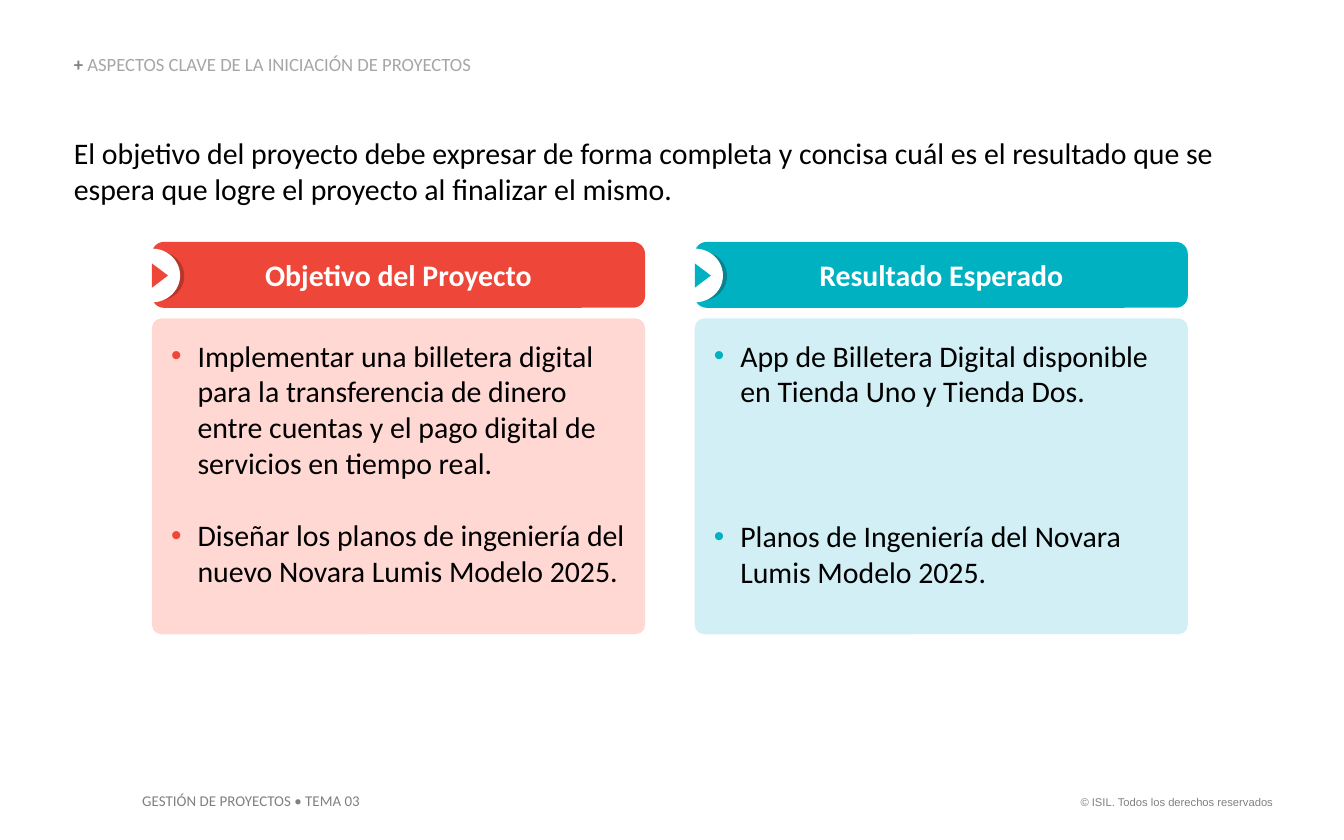
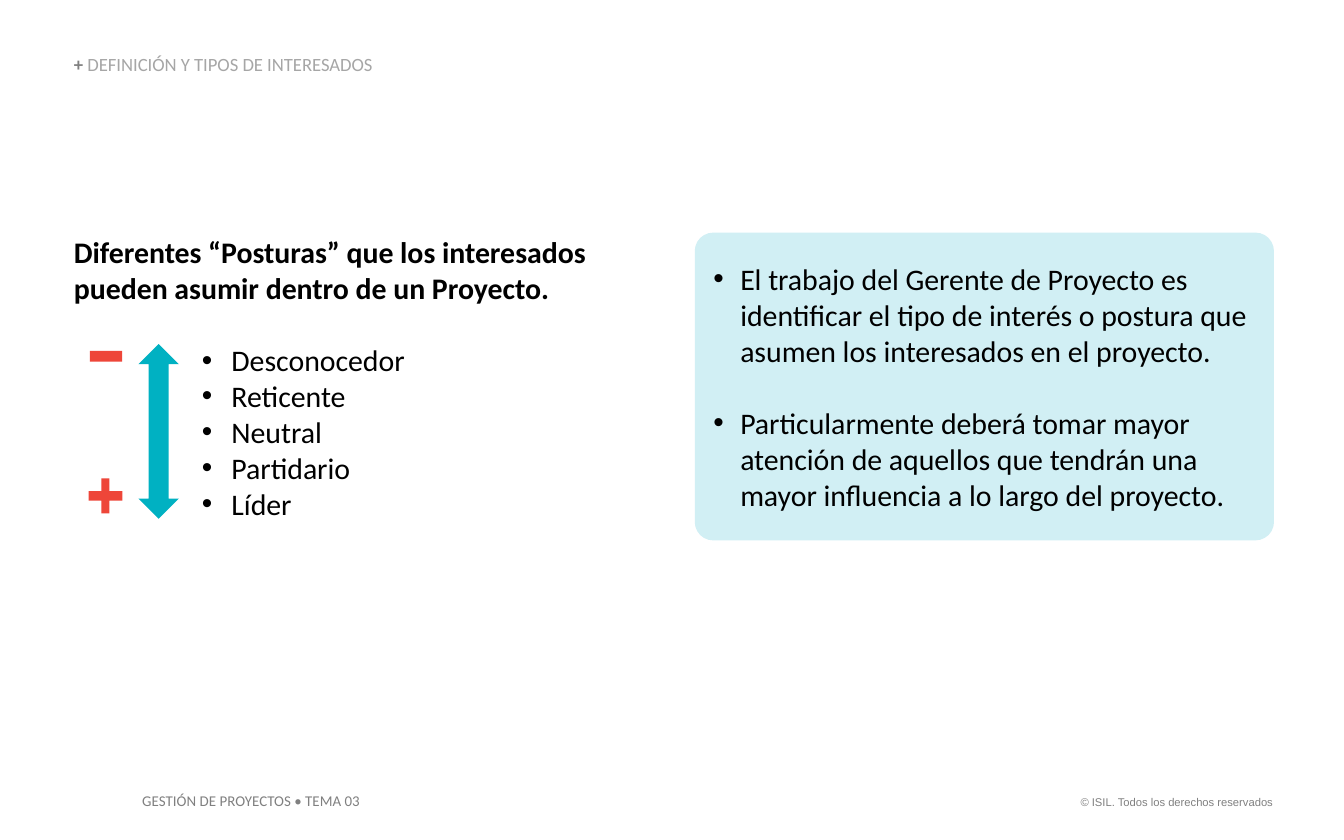
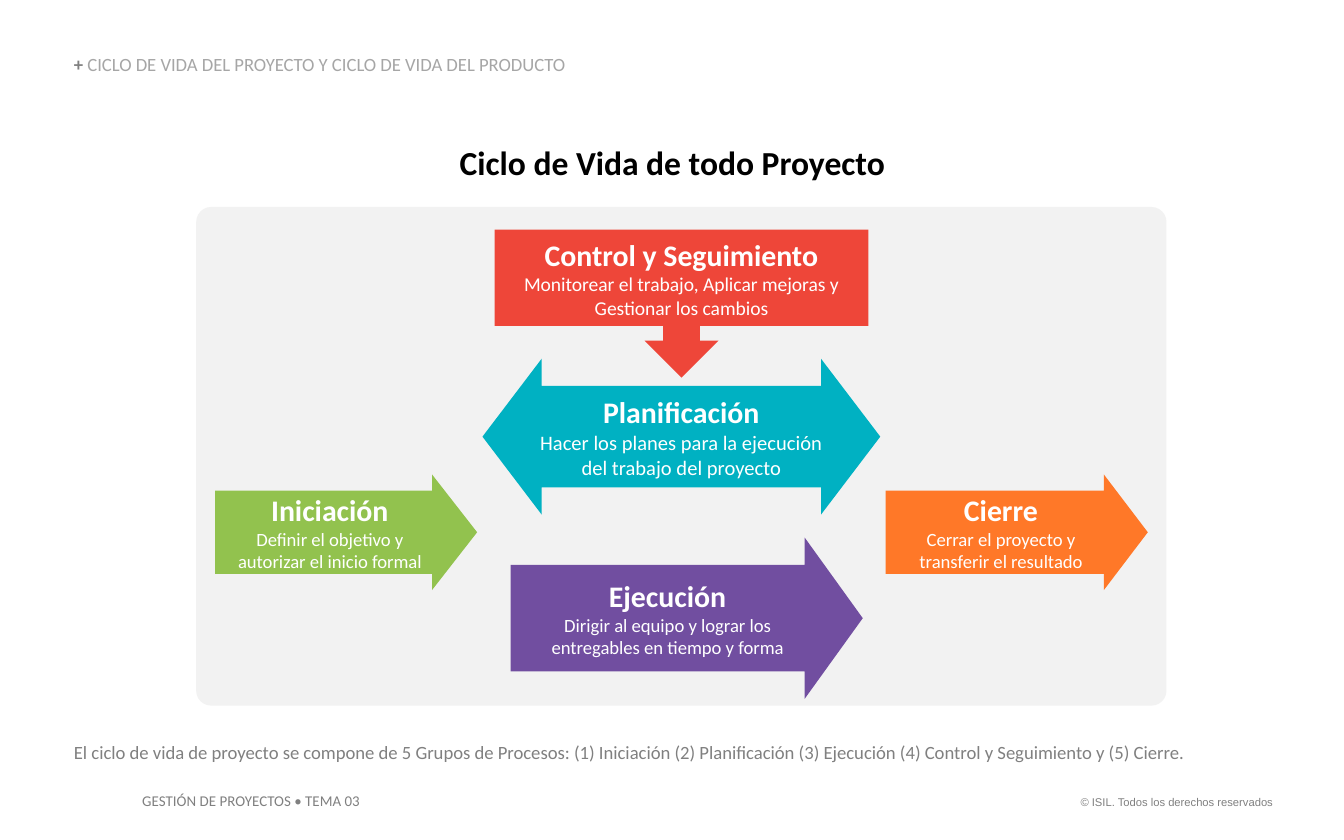
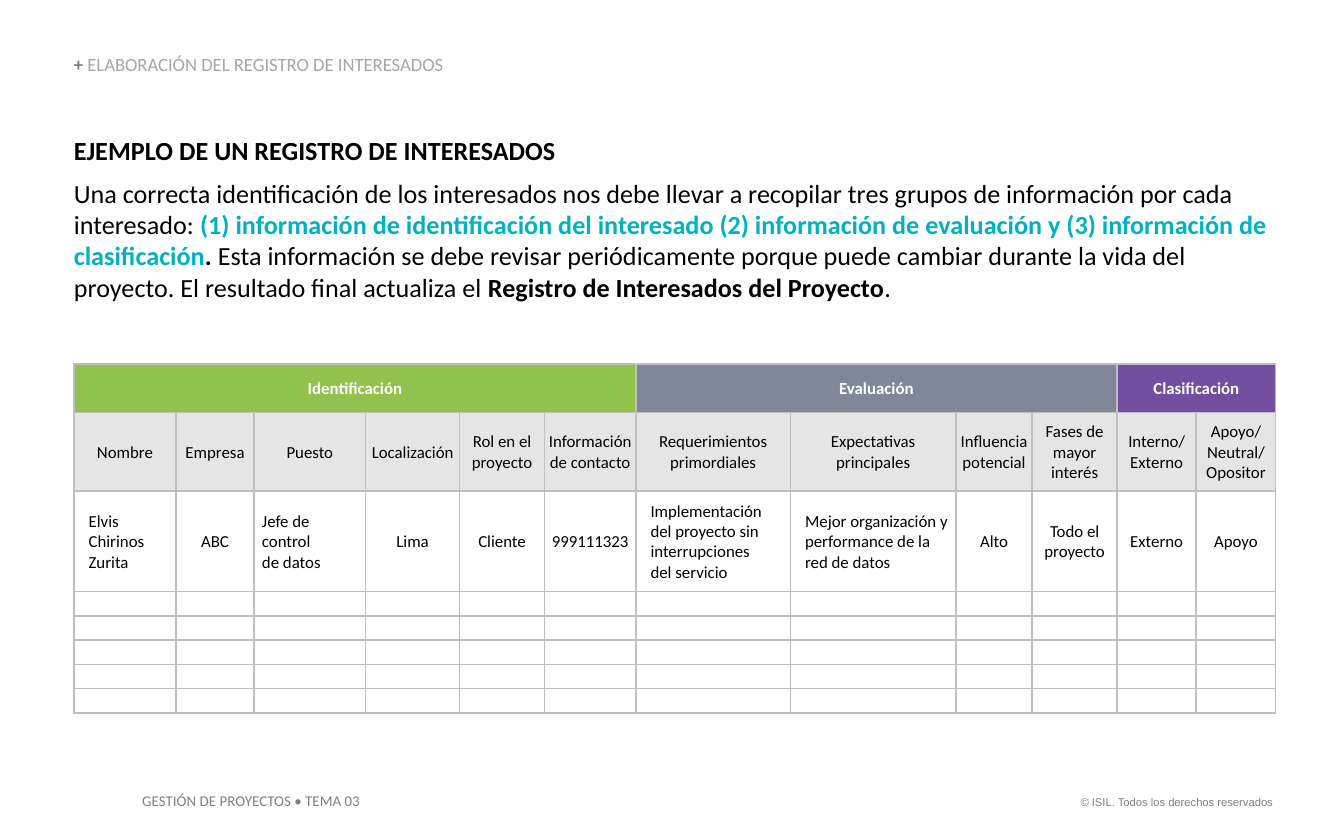
from dataclasses import dataclass

from lxml.etree import SubElement
from pptx import Presentation
from pptx.dml.color import RGBColor
from pptx.enum.shapes import MSO_SHAPE
from pptx.enum.text import MSO_ANCHOR, PP_ALIGN
from pptx.oxml.ns import qn
from pptx.util import Pt


@dataclass(frozen=True)
class Theme:
    ink: str = "000000"
    white: str = "FFFFFF"
    gray: str = "808080"
    light_gray: str = "A6A6A6"
    panel: str = "F2F2F2"
    red: str = "EE4639"
    dark_red: str = "B7362B"
    pale_red: str = "FFD8D4"
    teal: str = "00B1C2"
    dark_teal: str = "0B828E"
    pale_teal: str = "D1EFF4"
    purple: str = "714EA0"
    orange: str = "FF7828"
    green: str = "92C24E"
    slate: str = "808799"
    header: str = "E5E5E5"
    border: str = "BFBFBF"
    font: str = "Calibri"
    copyright_font: str = "Arial"
    heading: float = 18
    body: float = 16
    lead: float = 14
    small: float = 10
    table: float = 9
    footer: float = 8
    copyright: float = 6
    line: float = 19.5


theme = Theme()
LEFT = 39.6
RIGHT_COLUMN = 372.2
NO_MARGINS = (0, 0, 0, 0)


def draw(shapes, kind, box, color=None, adjustments=(), rotation=0):
    lengths = [Pt(value) for value in box]
    if kind is None:
        return shapes.add_textbox(*lengths)
    shape = shapes.add_shape(kind, *lengths)
    shape.shadow.inherit = False
    shape.fill.solid()
    shape.fill.fore_color.rgb = RGBColor.from_string(color)
    shape.line.fill.background()
    shape.rotation = rotation
    for index, value in enumerate(adjustments):
        shape.adjustments[index] = value
    return shape


def write(shape, paragraphs, margins=(7.2, 3.6, 7.2, 3.6), font=theme.font, **frame_format):
    frame = shape.text_frame
    sides = ("margin_left", "margin_top", "margin_right", "margin_bottom")
    values = {"word_wrap": True, **dict(zip(sides, map(Pt, margins))), **frame_format}
    for name, value in values.items():
        setattr(frame, name, value)
    for index, (runs, paragraph_format) in enumerate(paragraphs):
        paragraph = frame.add_paragraph() if index else frame.paragraphs[0]
        values = {"alignment": PP_ALIGN.LEFT, **paragraph_format}
        bullet = values.pop("bullet", None)
        if bullet:
            color, left, hanging = bullet
            properties = paragraph._p.get_or_add_pPr()
            properties.set("marL", str(Pt(left)))
            properties.set("indent", str(Pt(-hanging)))
            bullet_color = SubElement(properties, qn("a:buClr"))
            SubElement(bullet_color, qn("a:srgbClr"), val=color)
            SubElement(properties, qn("a:buFont"), typeface="Arial")
            SubElement(properties, qn("a:buChar"), char="•")
        for name, value in values.items():
            setattr(paragraph, name, value)
        for text, size, color, bold in runs:
            run = paragraph.add_run()
            run.text = text
            for name, value in {"name": font, "size": Pt(size), "bold": bold}.items():
                setattr(run.font, name, value)
            run.font.color.rgb = RGBColor.from_string(color)


presentation = Presentation()
presentation.slide_width, presentation.slide_height = Pt(720), Pt(450)
blank_layout = presentation.slide_layouts[6]

section_titles = [
    "ASPECTOS CLAVE DE LA INICIACIÓN DE PROYECTOS",
    "DEFINICIÓN Y TIPOS DE INTERESADOS",
    "CICLO DE VIDA DEL PROYECTO Y CICLO DE VIDA DEL PRODUCTO",
    "ELABORACIÓN DEL REGISTRO DE INTERESADOS",
]
slides = []
for section_title in section_titles:
    slide = presentation.slides.add_slide(blank_layout)
    title = draw(slide.shapes, None, (LEFT, 29.5, 278, 10.8))
    write(title, [([("+ ", theme.small, theme.gray, True),
                    (section_title, theme.small, theme.light_gray, False)],
                   {"line_spacing": 0.9})],
          NO_MARGINS, vertical_anchor=MSO_ANCHOR.BOTTOM)
    slides.append(slide)
objective_slide, stance_slide, cycle_slide, register_slide = slides

footers = [
    ("© ISIL. Todos los derechos reservados", (569.5, 422.6, 119.5, 14.4),
     theme.copyright, theme.copyright_font, PP_ALIGN.RIGHT),
    ("GESTIÓN DE PROYECTOS • TEMA 03", (69.1, 420.5, 133.2, 17.3),
     theme.footer, theme.font, PP_ALIGN.LEFT),
]
for text, box, size, font, alignment in footers:
    footer = draw(objective_slide.shapes, None, box)
    write(footer, [([(text, size, theme.gray, False)], {"alignment": alignment})],
          font=font, word_wrap=False)
    blank_layout.shapes.element.append(footer.element)

shapes = objective_slide.shapes
introduction = draw(shapes, None, (LEFT, 72, 641.5, 38.9))
write(introduction, [([(
    "El objetivo del proyecto debe expresar de forma completa y concisa cuál es el resultado "
    "que se espera que logre el proyecto al finalizar el mismo.",
    theme.body, theme.ink, False)], {})], NO_MARGINS)

cards = [
    (RIGHT_COLUMN, "Resultado Esperado", theme.teal, theme.dark_teal, theme.pale_teal, 3,
     ["App de Billetera Digital disponible en Tienda Uno y Tienda Dos.",
      "Planos de Ingeniería del Novara Lumis Modelo 2025."]),
    (81.4, "Objetivo del Proyecto", theme.red, theme.dark_red, theme.pale_red, 1,
     ["Implementar una billetera digital para la transferencia de dinero entre cuentas "
      "y el pago digital de servicios en tiempo real.",
      "Diseñar los planos de ingeniería del nuevo Novara Lumis Modelo 2025."]),
]
for left, heading, color, dark, pale, gap_lines, items in cards:
    band = draw(shapes, MSO_SHAPE.ROUNDED_RECTANGLE, (left, 129.6, 264.2, 35.3), color, [0.18])
    write(band, [([(heading, theme.body, theme.white, True)], {"alignment": PP_ALIGN.CENTER})])
    card = draw(shapes, MSO_SHAPE.ROUNDED_RECTANGLE, (left, 170.6, 264.2, 169.2), pale, [0.03])
    write(card, [([(item, theme.body, theme.ink, False)],
                  {"bullet": (color, 14.4, 14.2),
                   "space_before": Pt(theme.line * gap_lines * index)})
                 for index, item in enumerate(items)],
          (8.6, 8.6, 8.6, 3.6), vertical_anchor=MSO_ANCHOR.TOP)
    icon = shapes.add_group_shape().shapes
    draw(icon, MSO_SHAPE.OVAL, (left - 10.8, 134.6, 28.1, 26.6), dark)
    draw(icon, MSO_SHAPE.OVAL, (left - 15.1, 133.2, 30.2, 28.8), theme.white)
    draw(icon, MSO_SHAPE.ISOSCELES_TRIANGLE, (left - 2.2, 143.3, 13, 8.6), color, rotation=90)

shapes = stance_slide.shapes
stances = draw(shapes, None, (LEFT, 125.3, 306, 154.8))
stance_names = ["Desconocedor", "Reticente", "Neutral", "Partidario", "Líder"]
write(stances, [([("Diferentes “Posturas” que los interesados pueden asumir dentro de un Proyecto.",
                   theme.body, theme.ink, True)], {})]
      + [([(name, theme.body, theme.ink, False)],
          {"bullet": (theme.ink, 84.4, 15.8), "space_before": Pt(0 if index else theme.line)})
         for index, name in enumerate(stance_names)], NO_MARGINS)
draw(shapes, MSO_SHAPE.LEFT_RIGHT_ARROW, (38.2, 220.3, 93.6, 21.6), theme.teal, rotation=270)
draw(shapes, MSO_SHAPE.RECTANGLE, (48.2, 187.9, 17.3, 5.8), theme.red)
draw(shapes, MSO_SHAPE.CROSS, (47.5, 256.3, 18, 18.7), theme.red, [0.38])
manager_role = draw(shapes, MSO_SHAPE.ROUNDED_RECTANGLE, (RIGHT_COLUMN, 124.6, 310.3, 164.9),
                    theme.pale_teal, [0.06])
manager_duties = [
    "El trabajo del Gerente de Proyecto es identificar el tipo de interés o postura "
    "que asumen los interesados en el proyecto.",
    "Particularmente deberá tomar mayor atención de aquellos que tendrán una mayor "
    "influencia a lo largo del proyecto.",
]
write(manager_role, [([(duty, theme.body, theme.ink, False)],
                      {"bullet": (theme.ink, 14.4, 14.4), "space_before": Pt(theme.line * index)})
                     for index, duty in enumerate(manager_duties)])

shapes = cycle_slide.shapes
diagram = shapes.add_group_shape().shapes
draw(diagram, MSO_SHAPE.ROUNDED_RECTANGLE, (105.1, 110.9, 519.8, 267.1), theme.panel, [0.03])
phases = [
    ("Control y Seguimiento",
     ["Monitorear el trabajo, Aplicar mejoras y", "Gestionar los cambios"], 10.5,
     MSO_SHAPE.DOWN_ARROW_CALLOUT, (265, 123.1, 200.2, 79.2), theme.red, []),
    ("Planificación", ["Hacer los planes para la ejecución del trabajo del proyecto"], 11,
     MSO_SHAPE.LEFT_RIGHT_ARROW, (258.5, 192.2, 213.1, 83.5), theme.teal, [0.65, 0.38]),
    ("Ejecución", ["Dirigir al equipo y lograr los entregables en tiempo y forma"], theme.small,
     MSO_SHAPE.RIGHT_ARROW, (273.6, 288, 188.6, 86.4), theme.purple, [0.66, 0.36]),
    ("Cierre", ["Cerrar el proyecto y transferir el resultado"], theme.small,
     MSO_SHAPE.RIGHT_ARROW, (474.5, 254.2, 140.4, 61.9), theme.orange, [0.72, 0.38]),
    ("Iniciación", ["Definir el objetivo y autorizar el inicio formal"], theme.small,
     MSO_SHAPE.RIGHT_ARROW, (115.2, 254.2, 140.4, 61.9), theme.green, [0.72, 0.39]),
]
for name, details, size, kind, box, color, adjustments in phases:
    phase = draw(diagram, kind, box, color, adjustments)
    lines = [(name, theme.body, theme.white, True)]
    lines += [(detail, size, theme.white, False) for detail in details]
    write(phase, [([line], {"alignment": PP_ALIGN.CENTER}) for line in lines])
cycle_heading = draw(shapes, None, (206.6, 72.7, 307.4, 28.8))
write(cycle_heading, [([("Ciclo de Vida de todo Proyecto", theme.heading, theme.ink, True)],
                       {"alignment": PP_ALIGN.CENTER})])
cycle_note = draw(shapes, None, (LEFT, 393.1, 605.5, 19.4))
write(cycle_note, [([(
    "El ciclo de vida de proyecto se compone de 5 Grupos de Procesos: (1) Iniciación "
    "(2) Planificación (3) Ejecución (4) Control y Seguimiento y (5) Cierre.",
    theme.small, theme.gray, False)], {"alignment": PP_ALIGN.JUSTIFY})], (0, 3.6, 7.2, 3.6))

shapes = register_slide.shapes
explanation = draw(shapes, None, (LEFT, 72, 643, 90.7))
explanation_runs = [
    ("Una correcta identificación de los interesados nos debe llevar a recopilar tres grupos "
     "de información por cada interesado: ", theme.ink, False),
    ("(1) información de identificación del interesado (2) información de evaluación y "
     "(3) información de clasificación", theme.teal, True),
    (". ", theme.ink, True),
    ("Esta información se debe revisar periódicamente porque puede cambiar durante la vida "
     "del proyecto. El resultado final actualiza el ", theme.ink, False),
    ("Registro de Interesados del Proyecto", theme.ink, True),
    (".", theme.ink, False),
]
write(explanation, [
    ([("EJEMPLO DE UN REGISTRO DE INTERESADOS", theme.lead, theme.ink, True)], {}),
    ([(text, theme.lead, color, bold) for text, color, bold in explanation_runs],
     {"space_before": Pt(6)}),
], NO_MARGINS)

column_widths = [54.7, 41.8, 59.8, 50.4, 45.4, 49, 82.8, 88.6, 41, 45.4, 42.5, 42.5]
row_heights = [26, 42, 54] + [13] * 5
column_count, row_count = len(column_widths), len(row_heights)
sections = [("Identificación", 6, theme.green), ("Evaluación", 4, theme.slate),
            ("Clasificación", 2, theme.purple)]
headers = ["Nombre", "Empresa", "Puesto", "Localización", "Rol en el proyecto",
           "Información de contacto", "Requerimientos primordiales",
           "Expectativas\nprincipales", "Influencia potencial", "Fases de mayor interés",
           "Interno/ Externo", "Apoyo/ Neutral/ Opositor"]
stakeholder = ["Elvis Chirinos Zurita", "ABC", "Jefe de\ncontrol\nde datos", "Lima", "Cliente",
               "999111323",
               "Implementación\ndel proyecto sin interrupciones\ndel servicio",
               "Mejor organización y performance de la red de datos", "Alto",
               "Todo el proyecto", "Externo", "Apoyo"]
left_indents = {0: 7.2, 2: 3.6, 6: 7.2, 7: 7.2}
section_names, section_fills = [], []
for name, span, color in sections:
    section_names += [name] + [""] * (span - 1)
    section_fills += [color] * span
rows = [section_names, headers, stakeholder] + [[""] * column_count] * (row_count - 3)

table = shapes.add_table(row_count, column_count, Pt(LEFT), Pt(195),
                         Pt(sum(column_widths)), Pt(sum(row_heights))).table
table.first_row = table.horz_banding = False
for column, width in zip(table.columns, column_widths):
    column.width = Pt(width)
for row, height in zip(table.rows, row_heights):
    row.height = Pt(height)
start = 0
for name, span, color in sections:
    table.cell(0, start).merge(table.cell(0, start + span - 1))
    start += span

cell_format = {"margin_left": Pt(0.7), "margin_top": Pt(0.7), "margin_right": Pt(0.7),
               "margin_bottom": 0, "vertical_anchor": MSO_ANCHOR.MIDDLE}
text_size = str(int(theme.table * 100))
for row_index, texts in enumerate(rows):
    for column_index, text in enumerate(texts):
        cell = table.cell(row_index, column_index)
        for name, value in cell_format.items():
            setattr(cell, name, value)
        if row_index < 2:
            cell.fill.solid()
            color = theme.header if row_index else section_fills[column_index]
            cell.fill.fore_color.rgb = RGBColor.from_string(color)
        else:
            cell.fill.background()
        properties = cell._tc.get_or_add_tcPr()
        for index, edge in enumerate(("a:lnL", "a:lnR", "a:lnT", "a:lnB")):
            border = SubElement(properties, qn(edge), w=str(Pt(1)))
            border_fill = SubElement(border, qn("a:solidFill"))
            SubElement(border_fill, qn("a:srgbClr"), val=theme.border)
            properties.insert(index, border)
        paragraph = cell.text_frame.paragraphs[0]
        paragraph.text = text
        paragraph.alignment = PP_ALIGN.CENTER
        if row_index == 2 and column_index in left_indents:
            paragraph.alignment = PP_ALIGN.LEFT
            paragraph._p.get_or_add_pPr().set("marL", str(Pt(left_indents[column_index])))
        for run in paragraph.runs:
            run_format = {"name": theme.font, "size": Pt(theme.table), "bold": row_index == 0}
            for name, value in run_format.items():
                setattr(run.font, name, value)
            run.font.color.rgb = RGBColor.from_string(theme.ink if row_index else theme.white)
        for line_break in paragraph._p.findall(qn("a:br")):
            SubElement(line_break, qn("a:rPr"), sz=text_size)
        if not text:
            SubElement(paragraph._p, qn("a:endParaRPr"), sz=text_size)

presentation.save("out.pptx")
